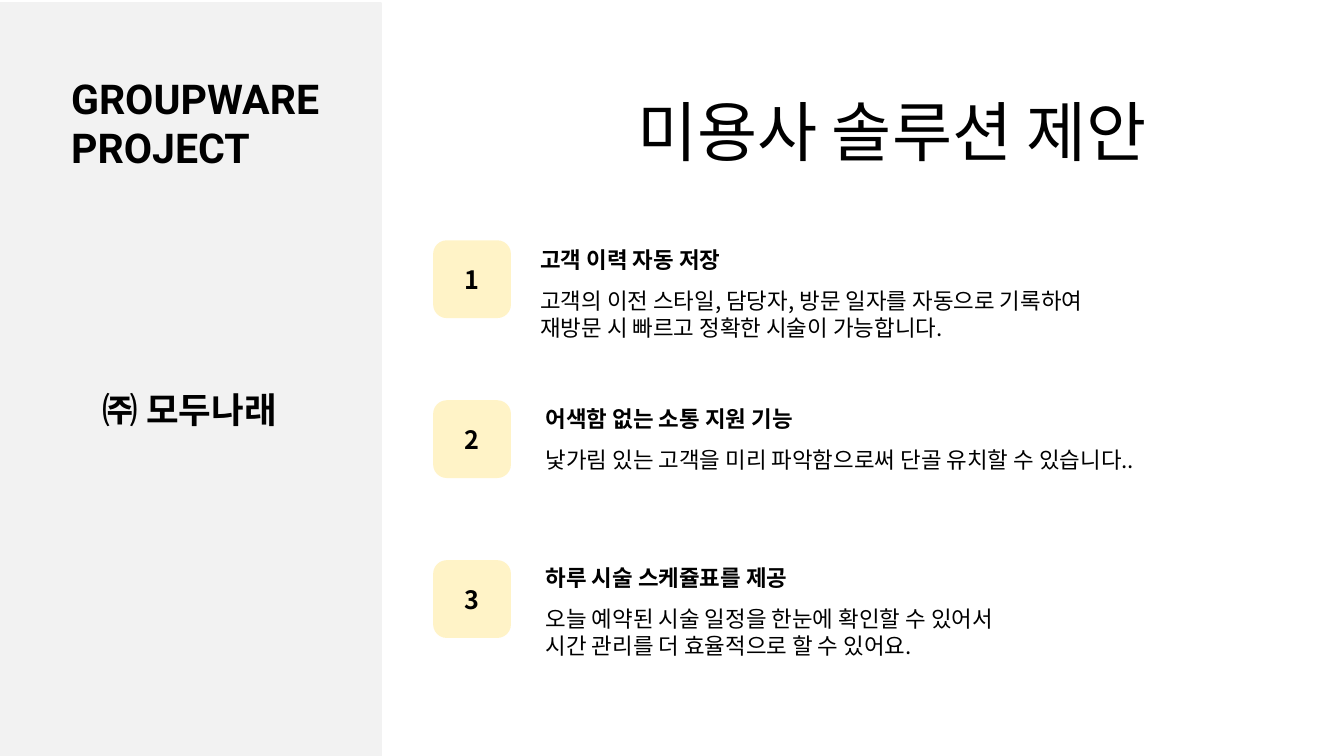
from lxml import etree
from pptx import Presentation, util as u
from pptx.dml.color import RGBColor
from pptx.enum import shapes, text
from pptx.oxml import ns

TITLE = "미용사 솔루션 제안"
PROJECT = ["GROUPWARE", "PROJECT"]
COMPANY = "㈜ 모두나래"
PROPOSALS = [
    ("고객 이력 자동 저장",
     "고객의 이전 스타일, 담당자, 방문 일자를 자동으로 기록하여\n재방문 시 빠르고 정확한 시술이 가능합니다.", 7.94),
    ("어색함 없는 소통 지원 기능",
     "낯가림 있는 고객을 미리 파악함으로써 단골 유치할 수 있습니다..", 8.02),
    ("하루 시술 스케쥴표를 제공",
     "오늘 예약된 시술 일정을 한눈에 확인할 수 있어서\n시간 관리를 더 효율적으로 할 수 있어요.", 8.02),
]
COLORS = {"sidebar": "F2F2F2", "badge": "FFF3C7", "text": "000000"}
KOREAN = "Noto Sans CJK KR"
WIDTH, HEIGHT = 20, 11.25
BADGE_LEFT, BADGE_TOP, BADGE_SIZE, BADGE_STEP = 6.46, 3.59, 1.13, 2.38
HEADING_TOP, HEADING_STEP, DETAIL_OFFSET = 3.62, 2.36, 0.61
TEXT_WIDTH, LINE_HEIGHT = 11.08, 0.41


def place(shape, left, top, width, height):
    shape.left, shape.top = u.Inches(left), u.Inches(top)
    shape.width, shape.height = u.Inches(width), u.Inches(height)


def write(shape, lines, size, font=KOREAN, bold=False, align=text.PP_ALIGN.LEFT,
          anchor=text.MSO_ANCHOR.TOP, spacing=None):
    frame = shape.text_frame
    frame.word_wrap = True
    frame.auto_size = text.MSO_AUTO_SIZE.NONE
    frame.vertical_anchor = anchor
    for index, line in enumerate(lines):
        paragraph = frame.add_paragraph() if index else frame.paragraphs[0]
        paragraph.text = line
        paragraph.alignment = align
        if spacing:
            paragraph.line_spacing = spacing
        for run in paragraph.runs:
            run.font.size = u.Pt(size)
            run.font.bold = bold
            run.font.color.rgb = RGBColor.from_string(COLORS["text"])
            run.font.name = font
            east_asian = etree.SubElement(run.font._element, ns.qn("a:ea"))
            east_asian.set("typeface", KOREAN)


def add_text(slide, box, lines, size, **style):
    write(slide.shapes.add_textbox(*map(u.Inches, box)), lines, size, **style)


def add_block(slide, kind, box, color):
    shape = slide.shapes.add_shape(kind, *map(u.Inches, box))
    shape.shadow.inherit = False
    shape.fill.solid()
    shape.fill.fore_color.rgb = RGBColor.from_string(color)
    shape.line.color.rgb = RGBColor.from_string(color)
    shape.line.width = u.Pt(2)
    return shape


def add_proposal(slide, index, heading, detail, left):
    badge = add_block(slide, shapes.MSO_SHAPE.ROUNDED_RECTANGLE,
                      (BADGE_LEFT, BADGE_TOP + index * BADGE_STEP, BADGE_SIZE, BADGE_SIZE),
                      COLORS["badge"])
    write(badge, [str(index + 1)], 27, bold=True, align=text.PP_ALIGN.CENTER,
          anchor=text.MSO_ANCHOR.MIDDLE)
    top = HEADING_TOP + index * HEADING_STEP
    for offset, content, bold in ((0, heading, True), (DETAIL_OFFSET, detail, False)):
        height = 0.1 + LINE_HEIGHT * len(content.splitlines())
        add_text(slide, (left, top + offset, TEXT_WIDTH, height), [content], 24, bold=bold)


def main():
    presentation = Presentation()
    presentation.slide_width, presentation.slide_height = u.Inches(WIDTH), u.Inches(HEIGHT)
    slide = presentation.slides.add_slide(presentation.slide_layouts[5])

    add_block(slide, shapes.MSO_SHAPE.RECTANGLE, (0, 0.04, 5.67, HEIGHT - 0.04), COLORS["sidebar"])
    add_text(slide, (0.96, 1.04, 3.96, 1.45), PROJECT, 44, font="Roboto", bold=True,
             align=text.PP_ALIGN.JUSTIFY)
    add_text(slide, (1.43, 5.3, 3.03, 1.28), [COMPANY], 38, font="Calibri", bold=True,
             anchor=text.MSO_ANCHOR.MIDDLE, spacing=1.5)
    for index, proposal in enumerate(PROPOSALS):
        add_proposal(slide, index, *proposal)

    title = slide.shapes.title
    place(title, 7.3, 0.93, 11.95, 1.42)
    frame = title.text_frame
    frame.margin_left = frame.margin_top = frame.margin_right = frame.margin_bottom = 0
    write(title, [TITLE], 70, align=text.PP_ALIGN.CENTER, spacing=u.Pt(114.3))
    presentation.save("out.pptx")


if __name__ == "__main__":
    main()
